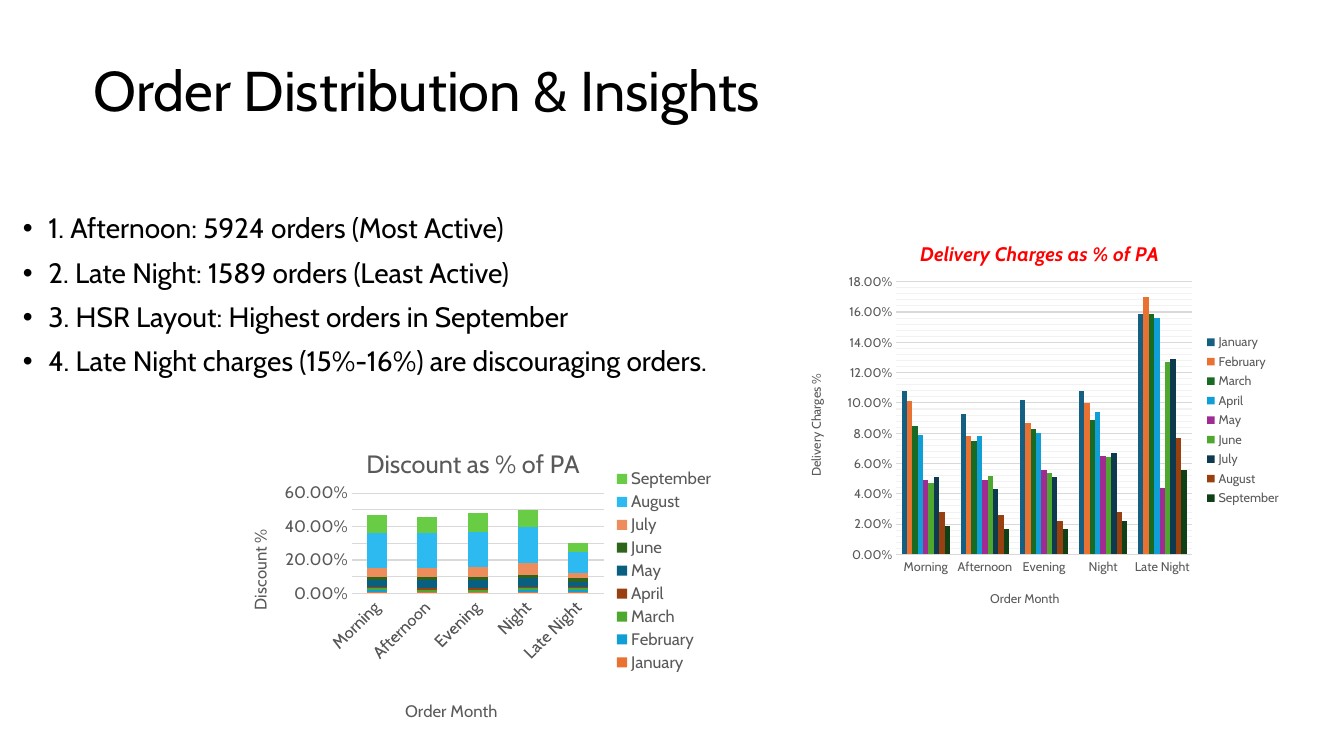
"""Build the order distribution slide with its bullets and two column charts."""
import pptx
import pptx.chart.data
import pptx.dml.color
import pptx.enum.chart
import pptx.enum.shapes
import pptx.enum.text
import pptx.oxml
import pptx.oxml.ns
import pptx.util
from pptx.util import Cm, Pt

COLORS = {"white": "FFFFFF", "black": "000000", "red": "FF0000",
          "gray": "595959", "grid": "D9D9D9", "faint": "F2F2F2"}
FONT = "Cabin"
PERIODS = ["Morning", "Afternoon", "Evening", "Night", "Late Night"]
MONTHS = ["January", "February", "March", "April", "May", "June",
          "July", "August", "September"]
BULLETS = ["1. Afternoon: 5924 orders (Most Active)",
           "2. Late Night: 1589 orders (Least Active)",
           "3. HSR Layout: Highest orders in September",
           "4. Late Night charges (15%-16%) are discouraging orders."]
CHARTS = [
    {"kind": pptx.enum.chart.XL_CHART_TYPE.COLUMN_CLUSTERED,
     "at": (19.63, 5.46, 12.85, 10.26), "gap": 199, "overlap": 0,
     "title": "Delivery Charges as % of PA", "title size": 14,
     "title color": "red", "emphasis": True, "value title": "Delivery Charges %",
     "size": 9, "top": 0.18, "major": 0.02, "minor": 0.004,
     "minor color": "faint", "turn": 0,
     "title at": (0.27, 0.05), "category at": (0.41, 0.91), "value at": (0.05, 0.38),
     "plot at": (0.23, 0.16, 0.58, 0.67), "legend at": (0.83, 0.28, 0.16, 0.44),
     "colors": ["156082", "E97132", "196B24", "0F9ED5", "A02B93", "4EA72E",
                "0D3A4E", "994010", "0F4016"],
     "values": [[0.108, 0.093, 0.102, 0.108, 0.159], [0.101, 0.078, 0.087, 0.1, 0.17],
                [0.085, 0.075, 0.083, 0.089, 0.159], [0.079, 0.078, 0.08, 0.094, 0.156],
                [0.049, 0.049, 0.056, 0.065, 0.044], [0.047, 0.052, 0.054, 0.064, 0.127],
                [0.051, 0.043, 0.051, 0.067, 0.129], [0.028, 0.026, 0.022, 0.028, 0.077],
                [0.019, 0.017, 0.017, 0.022, 0.056]]},
    {"kind": pptx.enum.chart.XL_CHART_TYPE.COLUMN_STACKED,
     "at": (5.56, 10.59, 12.7, 7.72), "gap": 150, "overlap": 100,
     "title": "Discount as % of PA", "title size": 18,
     "title color": "gray", "emphasis": False, "value title": "Discount %",
     "size": 12, "top": 0.6, "major": 0.2, "minor": 0.1,
     "minor color": "grid", "turn": -45,
     "title at": (0.28, 0.07), "category at": (0.36, 0.91), "value at": (0.05, 0.35),
     "plot at": (0.26, 0.24, 0.5, 0.33), "legend at": (0.78, 0.15, 0.2, 0.69),
     "colors": ["E97132", "0F9ED5", "4EA72E", "994010", "095F80", "2F641C",
                "ED8D5B", "2CBAF0", "68CC45"],
     "values": [[0.01, 0.01, 0.01, 0.01, 0.01], [0.01, 0, 0, 0.01, 0.01],
                [0.01, 0.01, 0.01, 0.01, 0.01], [0.01, 0.01, 0.01, 0.01, 0.01],
                [0.04, 0.05, 0.05, 0.05, 0.03], [0.02, 0.02, 0.02, 0.02, 0.02],
                [0.05, 0.05, 0.06, 0.07, 0.03], [0.21, 0.21, 0.21, 0.22, 0.13],
                [0.11, 0.1, 0.11, 0.1, 0.05]]},
]


def style(font, size, color):
    font.name = FONT
    font.size = Pt(size)
    font.color.rgb = pptx.dml.color.RGBColor.from_string(COLORS[color])


def place(element, index, fractions):
    for old in element.findall(pptx.oxml.ns.qn("c:layout")):
        element.remove(old)
    inner = '<c:layoutTarget val="inner"/>' if index == 0 else ""
    modes = '<c:xMode val="edge"/><c:yMode val="edge"/>'
    numbers = "".join(f'<c:{name} val="{number}"/>' for name, number in zip("xywh", fractions))
    element.insert(index, pptx.oxml.parse_xml(
        f'<c:layout {pptx.oxml.ns.nsdecls("c")}><c:manualLayout>'
        f'{inner}{modes}{numbers}</c:manualLayout></c:layout>'))


deck = pptx.Presentation()
deck.slide_width, deck.slide_height = Cm(33.87), Cm(19.05)
page = deck.slides.add_slide(deck.slide_layouts[5])

band = page.shapes.add_shape(pptx.enum.shapes.MSO_SHAPE.RECTANGLE, 0, 0, deck.slide_width, Cm(4.83))
band.shadow.inherit = False
band.fill.solid()
band.fill.fore_color.rgb = pptx.dml.color.RGBColor.from_string(COLORS["white"])
band.line.fill.background()

title = page.shapes.title
band._element.addnext(title._element)
title.left, title.top, title.width, title.height = Cm(2.11), Cm(0.66), Cm(29.9), Cm(3.4)
title.text_frame.text = "Order Distribution & Insights"
title.text_frame.vertical_anchor = pptx.enum.text.MSO_ANCHOR.MIDDLE
para = title.text_frame.paragraphs[0]
para.alignment = pptx.enum.text.PP_ALIGN.LEFT
para.line_spacing = 0.9
style(para.runs[0].font, 40, "black")

box = page.shapes.add_textbox(Cm(0.33), Cm(5.05), Cm(20.8), Cm(4.83))
box.text_frame.word_wrap = True
box.text_frame.vertical_anchor = pptx.enum.text.MSO_ANCHOR.MIDDLE
box.text_frame.text = "\n".join(BULLETS)
for number, para in enumerate(box.text_frame.paragraphs):
    properties = para._p.get_or_add_pPr()
    properties.set("marL", str(Cm(0.64)))
    properties.set("indent", str(-Cm(0.64)))
    for tag, attributes in (("buFont", 'typeface="Arial"'), ("buChar", 'char="•"')):
        properties.append(pptx.oxml.parse_xml(
            f'<a:{tag} {pptx.oxml.ns.nsdecls("a")} {attributes}/>'))
    para.line_spacing = 0.9
    para.space_before = Pt(10 if number else 0)
    style(para.runs[0].font, 20, "black")

for plan in CHARTS:
    data = pptx.chart.data.CategoryChartData(number_format="0.00%")
    data.categories = PERIODS
    for month, values in zip(MONTHS, plan["values"]):
        data.add_series(month, values)
    chart = page.shapes.add_chart(plan["kind"], *map(Cm, plan["at"]), data).chart
    style(chart.font, plan["size"], "gray")

    plot = chart.plots[0]
    plot.gap_width, plot.overlap = plan["gap"], plan["overlap"]
    plot.vary_by_categories = False
    for series, color in zip(plot.series, plan["colors"]):
        series.format.fill.solid()
        series.format.fill.fore_color.rgb = pptx.dml.color.RGBColor.from_string(color)

    periods, shares = chart.category_axis, chart.value_axis
    for axis in (periods, shares):
        axis.major_tick_mark = axis.minor_tick_mark = pptx.enum.chart.XL_TICK_MARK.NONE
        style(axis.tick_labels.font, plan["size"], "gray")
    if plan["turn"]:
        turned = periods._element.find(pptx.oxml.ns.qn("c:txPr")).find(pptx.oxml.ns.qn("a:bodyPr"))
        turned.set("rot", str(plan["turn"] * 60000))
    shares.minimum_scale, shares.maximum_scale = 0, plan["top"]
    shares.major_unit, shares.minor_unit = plan["major"], plan["minor"]
    shares.tick_labels.number_format = "0.00%"
    shares.tick_labels.number_format_is_linked = False
    shares.format.line.fill.background()
    shares.has_major_gridlines = shares.has_minor_gridlines = True
    for line in (periods.format.line, shares.major_gridlines.format.line):
        line.color.rgb = pptx.dml.color.RGBColor.from_string(COLORS["grid"])
        line.width = Pt(0.75)
    shares._element.find(pptx.oxml.ns.qn("c:minorGridlines")).append(pptx.oxml.parse_xml(
        f'<c:spPr {pptx.oxml.ns.nsdecls("c", "a")}><a:ln w="{Pt(0.75)}"><a:solidFill>'
        f'<a:srgbClr val="{COLORS[plan["minor color"]]}"/></a:solidFill></a:ln></c:spPr>'))

    chart.has_title = True
    for heading, words, size, color, spot in (
            (chart.chart_title, plan["title"], plan["title size"], plan["title color"], "title at"),
            (periods.axis_title, "Order Month", plan["size"], "gray", "category at"),
            (shares.axis_title, plan["value title"], plan["size"], "gray", "value at")):
        heading.text_frame.text = words
        span = heading.text_frame.paragraphs[0].runs[0]
        style(span.font, size, color)
        span.font.bold = span.font.italic = spot == "title at" and plan["emphasis"]
        place(heading._element, 1, plan[spot])
    shares.axis_title.text_frame._txBody.bodyPr.set("rot", "-5400000")

    chart.has_legend = True
    chart.legend.position = pptx.enum.chart.XL_LEGEND_POSITION.RIGHT
    chart.legend.include_in_layout = False
    style(chart.legend.font, plan["size"], "gray")
    place(chart.legend._element, 1, plan["legend at"])
    place(chart._chartSpace.chart.plotArea, 0, plan["plot at"])

deck.save("out.pptx")
